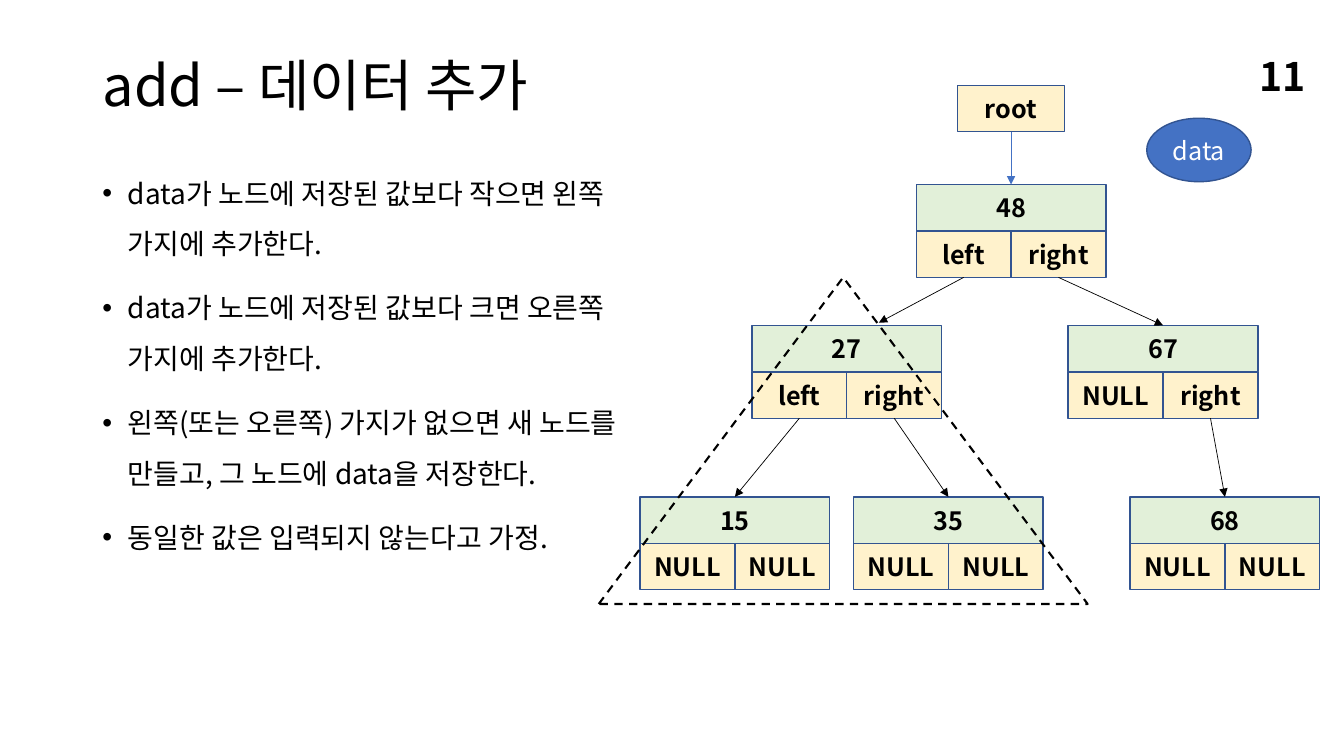
"""Build a slide on adding data to a binary search tree."""
from dataclasses import dataclass

from lxml import etree
from pptx import Presentation
from pptx import util as u
from pptx.dml.color import RGBColor
from pptx.enum import dml, shapes as sh, text as tx
from pptx.oxml import ns


@dataclass(frozen=True)
class Theme:
    font: str = "Noto Sans CJK KR"
    ink: str = "000000"
    white: str = "FFFFFF"
    edge: str = "325491"
    blue: str = "4472C4"
    cream: str = "FFF2CC"
    green: str = "E2F0D9"
    head: int = 40
    page: int = 28
    body: int = 20
    cell: int = 18


@dataclass(frozen=True)
class Box:
    x: float
    y: float
    w: float
    h: float

    def place(self) -> list:
        return [u.Cm(v) for v in (self.x, self.y, self.w, self.h)]


HALF, ROW = 2.39, 1.17


@dataclass(frozen=True)
class Node:
    x: float
    y: float
    key: str
    left: str
    right: str

    def top(self) -> tuple[float, float]:
        return self.x + HALF, self.y

    def port(self, side: int) -> tuple[float, float]:
        return self.x + HALF * (side + 0.5), self.y + 2 * ROW


@dataclass(frozen=True)
class Arrow:
    start: tuple[float, float]
    end: tuple[float, float]
    color: str


T = Theme()
TITLE = "add – 데이터 추가"
NOTES = (
    "data가 노드에 저장된 값보다 작으면 왼쪽 가지에 추가한다.",
    "data가 노드에 저장된 값보다 크면 오른쪽 가지에 추가한다.",
    "왼쪽(또는 오른쪽) 가지가 없으면 새 노드를 만들고, 그 노드에 data을 저장한다.",
    "동일한 값은 입력되지 않는다고 가정.",
)
N48 = Node(23.09, 4.65, "48", "left", "right")
N27 = Node(18.95, 8.2, "27", "left", "right")
N67 = Node(26.92, 8.2, "67", "NULL", "right")
N15 = Node(16.13, 12.52, "15", "NULL", "NULL")
N35 = Node(21.51, 12.52, "35", "NULL", "NULL")
N68 = Node(28.48, 12.52, "68", "NULL", "NULL")
NODES = (N48, N27, N67, N15, N35, N68)
ROOT = Box(24.13, 2.15, 2.7, ROW)
ARROWS = (
    Arrow(N48.port(0), (22.15, 8.13), T.ink),
    Arrow(N48.port(1), N67.top(), T.ink),
    Arrow(N27.port(0), N15.top(), T.ink),
    Arrow(N27.port(1), N35.top(), T.ink),
    Arrow(N67.port(1), N68.top(), T.ink),
    Arrow((N48.top()[0], ROOT.y + ROOT.h), N48.top(), T.blue),
)


def style(para, size: int, color: str, bold: bool = False) -> None:
    """Format every run of a paragraph."""
    for run in para.runs:
        font = run.font
        font.name, font.size, font.bold = T.font, u.Pt(size), bold
        font.color.rgb = RGBColor.from_string(color)
        east = etree.Element(ns.qn("a:ea"), typeface=T.font)
        font._element.find(ns.qn("a:latin")).addnext(east)


def block(host, kind, box: Box, fill: str, label: str,
          color: str = T.ink, bold: bool = True) -> None:
    """Draw a filled shape with a centred label."""
    shape = host.add_shape(kind, *box.place())
    shape.shadow.inherit = False
    shape.fill.solid()
    shape.fill.fore_color.rgb = RGBColor.from_string(fill)
    shape.line.color.rgb = RGBColor.from_string(T.edge)
    shape.line.width = u.Pt(1)
    frame = shape.text_frame
    frame.text = label
    frame.vertical_anchor = tx.MSO_ANCHOR.MIDDLE
    para = frame.paragraphs[0]
    para.alignment = tx.PP_ALIGN.CENTER
    style(para, T.cell, color, bold)


def draw_node(host, node: Node) -> None:
    """Draw a tree node as a group of key and two links."""
    group = host.add_group_shape().shapes
    rect = sh.MSO_SHAPE.RECTANGLE
    for side, label in enumerate((node.left, node.right)):
        box = Box(node.x + side * HALF, node.y + ROW, HALF, ROW)
        block(group, rect, box, T.cream, label)
    block(group, rect, Box(node.x, node.y, 2 * HALF, ROW), T.green, node.key)


def draw_arrow(host, arrow: Arrow) -> None:
    """Draw a thin line with a triangle head at its end."""
    ends = [u.Cm(v) for v in arrow.start + arrow.end]
    line = host.add_connector(sh.MSO_CONNECTOR.STRAIGHT, *ends)
    line.line.color.rgb = RGBColor.from_string(arrow.color)
    line.line.width = u.Pt(0.5)
    props = line._element.spPr
    etree.SubElement(props.find(ns.qn("a:ln")), ns.qn("a:tailEnd"), type="triangle")
    etree.SubElement(props, ns.qn("a:effectLst"))


def draw_scope(host, box: Box) -> None:
    """Draw the dashed triangle around the left subtree."""
    shape = host.add_shape(sh.MSO_SHAPE.ISOSCELES_TRIANGLE, *box.place())
    shape.adjustments[0] = 0.5
    shape.shadow.inherit = False
    shape.fill.background()
    shape.line.color.rgb = RGBColor.from_string(T.ink)
    shape.line.width = u.Pt(1.5)
    shape.line.dash_style = dml.MSO_LINE.DASH


def draw_title(shape) -> None:
    """Move and format the title placeholder."""
    shape.left, shape.top, shape.width, shape.height = Box(2.33, 1.02, 29.21, 2.41).place()
    frame = shape.text_frame
    frame.text = TITLE
    frame.auto_size = tx.MSO_AUTO_SIZE.NONE
    frame.vertical_anchor = tx.MSO_ANCHOR.MIDDLE
    para = frame.paragraphs[0]
    para.alignment, para.line_spacing = tx.PP_ALIGN.LEFT, 0.9
    style(para, T.head, T.ink)


def draw_notes(host, box: Box) -> None:
    """Write the bulleted rules."""
    frame = host.add_textbox(*box.place()).text_frame
    frame.word_wrap = True
    frame.text = "\n".join(NOTES)
    for i, para in enumerate(frame.paragraphs):
        props = para._p.get_or_add_pPr()
        props.set("marL", str(u.Cm(0.64)))
        props.set("indent", str(u.Cm(-0.64)))
        etree.SubElement(props, ns.qn("a:buFont"), typeface="Arial")
        etree.SubElement(props, ns.qn("a:buChar"), char="•")
        para.line_spacing = 1.5
        para.space_before = u.Pt(10 if i else 0)
        style(para, T.body, T.ink)


def draw_page(host, box: Box) -> None:
    """Write the page number."""
    frame = host.add_textbox(*box.place()).text_frame
    frame.word_wrap = True
    frame.vertical_anchor = tx.MSO_ANCHOR.MIDDLE
    frame.text = "11"
    para = frame.paragraphs[0]
    para.alignment = tx.PP_ALIGN.RIGHT
    style(para, T.page, T.ink, True)


def main() -> None:
    """Build and save the deck."""
    deck = Presentation()
    deck.slide_width, deck.slide_height = u.Cm(33.87), u.Cm(19.05)
    slide = deck.slides.add_slide(deck.slide_layouts[5])
    host = slide.shapes
    draw_title(host.title)
    draw_notes(host, Box(2.33, 3.89, 14.43, 13.26))
    for node in NODES:
        draw_node(host, node)
    for arrow in ARROWS:
        draw_arrow(host, arrow)
    draw_scope(host, Box(15.09, 6.99, 12.32, 8.23))
    block(host, sh.MSO_SHAPE.RECTANGLE, ROOT, T.cream, "root")
    block(host, sh.MSO_SHAPE.OVAL, Box(28.9, 2.98, 2.63, 1.6), T.blue, "data", T.white, False)
    draw_page(host, Box(25.53, 1.4, 7.62, 1.02))
    deck.save("out.pptx")


if __name__ == "__main__":
    main()
